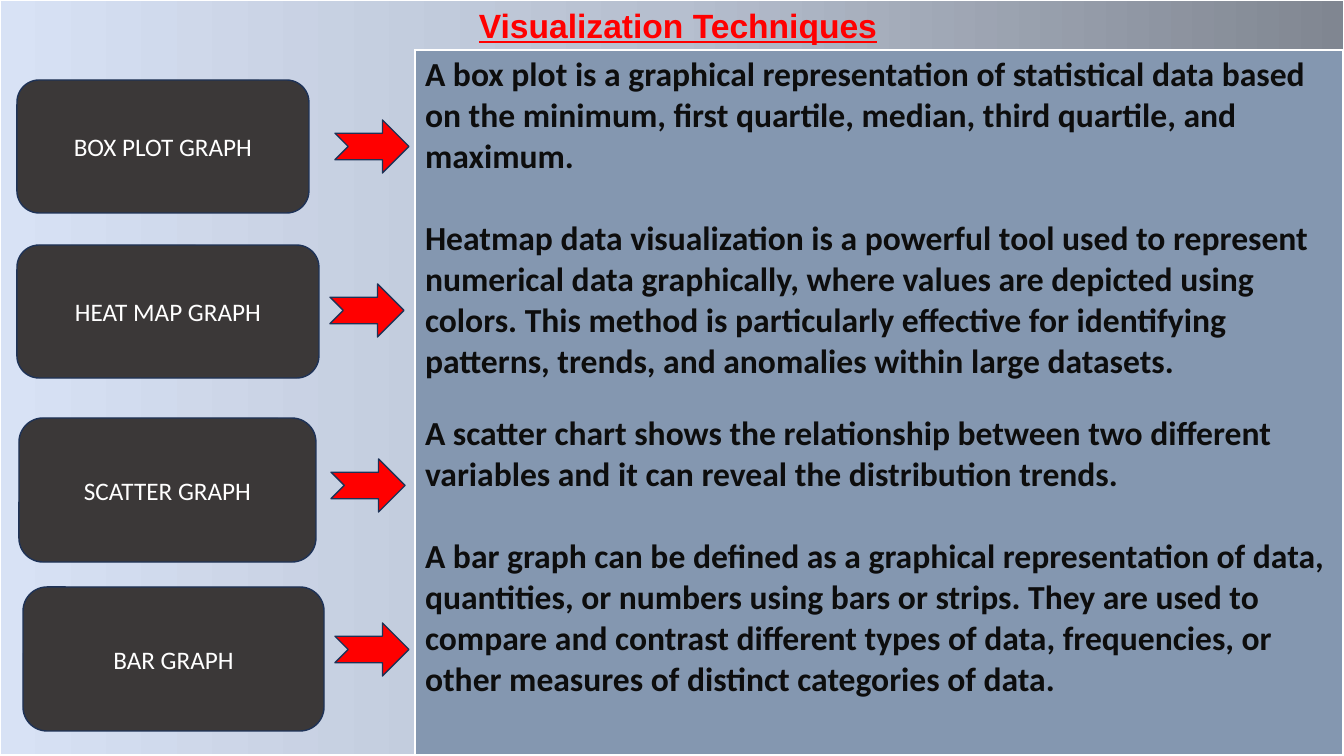
"""Build the Visualization Techniques slide."""
import lxml.etree
import pptx
import pptx.dml.color
import pptx.enum.shapes
import pptx.enum.text
import pptx.oxml.ns
import pptx.util

RGB = pptx.dml.color.RGBColor
RED = RGB(0xFF, 0x00, 0x00)
WHITE = RGB(0xFF, 0xFF, 0xFF)
INK = RGB(0x0D, 0x0D, 0x0D)
DARK = RGB(0x3B, 0x38, 0x38)
NAVY = RGB(0x1E, 0x32, 0x56)
SLATE = RGB(0x84, 0x97, 0xB0)
FADE = [(0, RGB(0x80, 0x86, 0x91)), (50, RGB(0xB6, 0xBF, 0xCF)),
        (100, RGB(0xD8, 0xE2, 0xF5))]

TITLE = "Visualization Techniques"
WIDE, HIGH = 1344, 756
HEAD = (384, 0, 588, 50)
PANEL = (415, 50, 928, 706)
ARROW = (74, 53)
EDGES = {"lnL": 1, "lnR": 1, "lnT": 1, "lnB": 3}

# label, box, arrow corner, text, points of space before the text
ITEMS = [
    ("BOX PLOT GRAPH", (17, 80, 292, 133), (335, 120),
     "A box plot is a graphical representation of statistical data based on "
     "the minimum, first quartile, median, third quartile, and maximum.", 0),
    ("HEAT MAP GRAPH", (17, 245, 302, 133), (330, 284),
     "Heatmap data visualization is a powerful tool used to represent "
     "numerical data graphically, where values are depicted using colors. "
     "This method is particularly effective for identifying patterns, "
     "trends, and anomalies within large datasets.", 29.3),
    ("SCATTER GRAPH", (19, 418, 297, 144), (331, 459),
     "A scatter chart shows the relationship between two different "
     "variables and it can reveal the distribution trends.", 22),
    ("BAR GRAPH", (23, 587, 301, 144), (335, 623),
     "A bar graph can be defined as a graphical representation of data, "
     "quantities, or numbers using bars or strips. They are used to compare "
     "and contrast different types of data, frequencies, or other measures "
     "of distinct categories of data.", 29.3),
]


def px(*sizes):
    """Turn pixel lengths into EMU."""
    return [round(size * 914400 / 100.8) for size in sizes]


def write(para, text, size=24, face="Calibri", color=INK, bold=False,
          under=False, align=pptx.enum.text.PP_ALIGN.LEFT, gap=0):
    """Put formatted text in a paragraph."""
    para.alignment = align
    para.space_before = pptx.util.Pt(gap)
    run = para.add_run()
    run.text = text
    font = run.font
    font.size, font.name = pptx.util.Pt(size), face
    font.bold, font.underline = bold, under
    font.color.rgb = color


def node(base, tag, **attrs):
    """Add a drawing element to a parent."""
    return lxml.etree.SubElement(base, pptx.oxml.ns.qn("a:" + tag), attrs)


def panel(slide, place):
    """Add a one-cell table with white edges and return its cell."""
    table = slide.shapes.add_table(1, 1, *px(*place)).table
    table.first_row = table.horz_banding = False
    cell = table.cell(0, 0)
    props = cell._tc.get_or_add_tcPr()
    for tag, width in EDGES.items():
        line = node(props, tag, w=str(pptx.util.Pt(width)))
        node(node(line, "solidFill"), "srgbClr", val=str(WHITE))
    return cell


def fade(cell):
    """Fill a cell with the right-to-left gradient."""
    grad = node(cell._tc.get_or_add_tcPr(), "gradFill", rotWithShape="1")
    stops = node(grad, "gsLst")
    for part, color in FADE:
        stop = node(stops, "gs", pos=str(part * 1000))
        node(stop, "srgbClr", val=str(color))
    node(grad, "lin", ang=str(180 * 60000), scaled="0")


def block(slide, kind, place, color):
    """Add a filled and outlined shape."""
    shape = slide.shapes.add_shape(kind, *px(*place))
    shape.shadow.inherit = False
    shape.fill.solid()
    shape.fill.fore_color.rgb = color
    shape.line.color.rgb = NAVY
    shape.line.width = pptx.util.Pt(1)
    return shape


def main():
    """Lay out the slide and save it."""
    kinds = pptx.enum.shapes.MSO_SHAPE
    center = pptx.enum.text.PP_ALIGN.CENTER
    anchor = pptx.enum.text.MSO_ANCHOR
    deck = pptx.Presentation()
    deck.slide_width, deck.slide_height = px(WIDE, HIGH)
    slide = deck.slides.add_slide(deck.slide_layouts[5])

    fade(panel(slide, (0, 0, WIDE, HIGH)))

    title = slide.shapes.title
    slide.shapes._spTree.append(title._element)
    title.left, title.top, title.width, title.height = px(*HEAD)
    frame = title.text_frame
    frame.auto_size = pptx.enum.text.MSO_AUTO_SIZE.NONE
    frame.vertical_anchor = anchor.TOP
    write(frame.paragraphs[0], TITLE, face="Arial", color=RED, bold=True,
          under=True, align=center)

    cell = panel(slide, PANEL)
    cell.fill.solid()
    cell.fill.fore_color.rgb = SLATE
    body = cell.text_frame
    for row, (label, place, corner, text, gap) in enumerate(ITEMS):
        para = body.add_paragraph() if row else body.paragraphs[0]
        write(para, text, bold=True, gap=gap)
        box = block(slide, kinds.ROUNDED_RECTANGLE, place, DARK)
        box.text_frame.vertical_anchor = anchor.MIDDLE
        write(box.text_frame.paragraphs[0], label, size=18, color=WHITE,
              align=center)
        block(slide, kinds.NOTCHED_RIGHT_ARROW, corner + ARROW, RED)

    deck.save("out.pptx")


if __name__ == "__main__":
    main()
